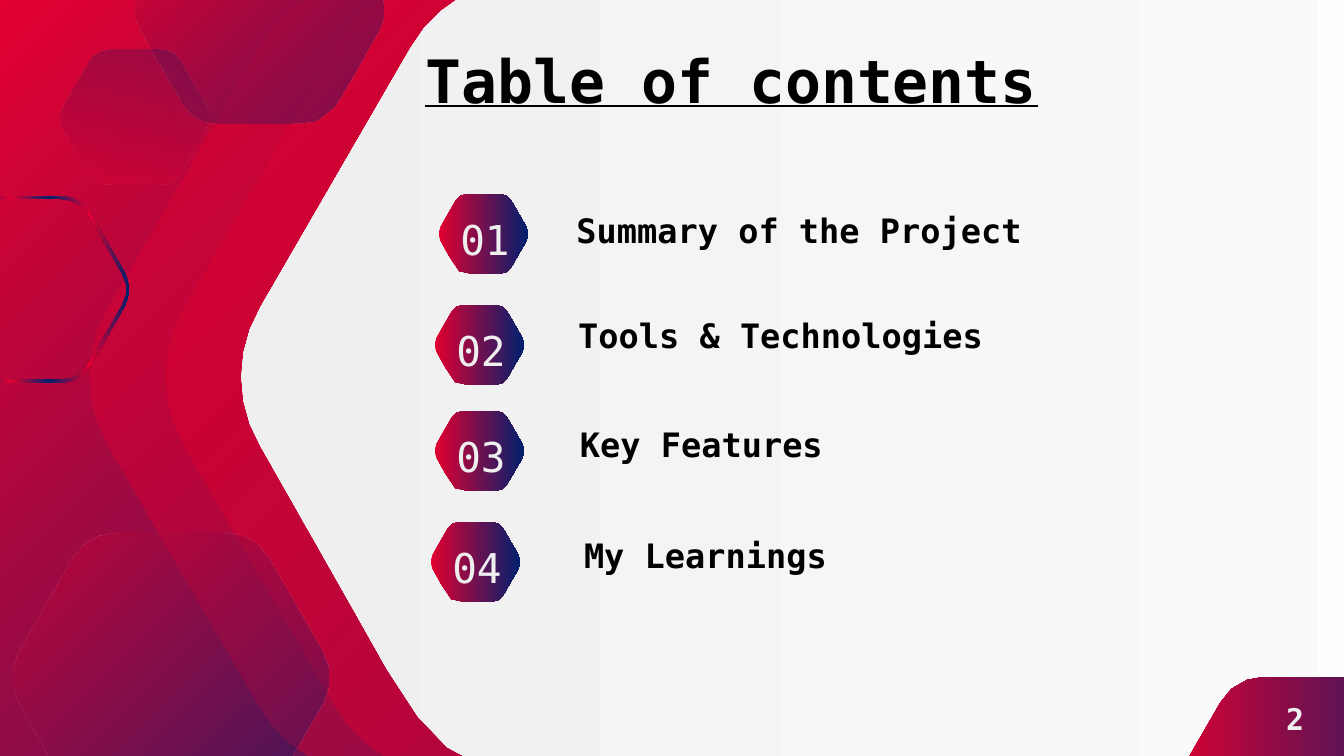
from dataclasses import dataclass

from lxml import etree
from pptx import Presentation
from pptx import util as u
from pptx.dml.color import RGBColor
from pptx.enum import text
from pptx.oxml.ns import qn

PX = u.Inches(10) / 1344
HEX_RATIO = 1.113  # width of an unstretched hexagon for a height of 1

# Rounded hexagon in a unit square: a point is a line, six numbers are a curve.
HEX_START = (0.333, 0)
HEX_STEPS = [
    (0.277, 0, 0.224, 0.034, 0.197, 0.089),
    (0.029, 0.412),
    (0, 0.466, 0, 0.534, 0.029, 0.587),
    (0.129, 0.783),
    (0.225, 0.976, 0.238, 1, 0.393, 1),
    (0.667, 1),
    (0.723, 1, 0.776, 0.966, 0.803, 0.911),
    (0.971, 0.588),
    (1, 0.534, 1, 0.466, 0.971, 0.412),
    (0.803, 0.089),
    (0.776, 0.034, 0.723, 0, 0.667, 0),
]


@dataclass(frozen=True)
class Theme:
    font: str = "DejaVu Sans Mono"
    red: str = "E20030"
    navy: str = "00216E"
    white: str = "FFFFFF"
    pale: str = "EFEFEF"
    ink: str = "000000"
    title: int = 32
    number: int = 22
    item: int = 18
    page: int = 16


T = Theme()
RED_NAVY = [(0, T.red), (100, T.navy)]
GLASS = [(0, T.red, 41), (100, T.navy, 40)]
ITEMS = [  # label, badge left and top, text left, top and width
    ("Summary of the Project", (438, 194), (551, 200, 484)),
    ("Tools & Technologies", (434, 305), (512, 305, 484)),
    ("Key Features", (434, 411), (512, 414, 324)),
    ("My Learnings", (430, 522), (539, 525, 301)),
]


def px(n):
    return u.Emu(round(n * PX))


def set_alpha(colour, percent):
    etree.SubElement(colour, qn("a:alpha"), val=str(percent * 1000))


def paint_gradient(fill, owner, stops, angle):
    """Fill with (position, colour[, opacity]) stops at a clockwise angle."""
    fill.gradient()
    grad = owner.find(".//" + qn("a:gradFill"))
    for child in list(grad):
        grad.remove(child)
    gs_list = etree.SubElement(grad, qn("a:gsLst"))
    for position, colour, *alpha in stops:
        gs = etree.SubElement(gs_list, qn("a:gs"), pos=str(position * 1000))
        clr = etree.SubElement(gs, qn("a:srgbClr"), val=colour)
        if alpha:
            set_alpha(clr, alpha[0])
    etree.SubElement(grad, qn("a:lin"), ang=str(angle * 60000), scaled="0")


def curve_steps(height):
    """Larger corners need more segments to look round."""
    return 2 if height < 100 else 3 if height < 400 else 6


def hexagon_points(left, top, width, height, flip=False):
    """Outline in EMU; extra width stretches only the flat top and bottom."""
    points = [HEX_START]
    n = curve_steps(height)
    for step in HEX_STEPS:
        if len(step) == 2:
            points.append(step)
            continue
        (x0, y0), (x1, y1, x2, y2, x3, y3) = points[-1], step
        for i in range(1, n + 1):
            t = i / n
            a, b, c, d = (1 - t) ** 3, 3 * t * (1 - t) ** 2, 3 * t * t * (1 - t), t ** 3
            points.append((a * x0 + b * x1 + c * x2 + d * x3,
                           a * y0 + b * y1 + c * y2 + d * y3))
    natural = height * HEX_RATIO
    outline = []
    for x, y in points:
        x = 1 - x if flip else x
        shift = width - natural if x > 0.5 else 0
        outline.append((px(left + x * natural + shift), px(top + y * height)))
    return outline


def add_hexagon(s, box, flip=False, border=0):
    """Add a rounded hexagon, hollow when a border width is given."""
    outline = hexagon_points(*box, flip)
    builder = s.shapes.build_freeform(*outline[0])
    builder.add_line_segments(outline[1:])
    if border:
        left, top, width, height = box
        hole = hexagon_points(left + border, top + border,
                              width - 2 * border, height - 2 * border, flip)
        builder.move_to(*hole[0])
        builder.add_line_segments(hole[1:])
    sp = builder.convert_to_shape()
    sp.shadow.inherit = False
    sp.line.fill.background()
    return sp


def add_gradient_hexagon(s, box, stops, angle, **options):
    sp = add_hexagon(s, box, **options)
    paint_gradient(sp.fill, sp._element.spPr, stops, angle)


def add_tinted_hexagon(s, box, colour, opacity):
    sp = add_hexagon(s, box, flip=True)
    sp.fill.solid()
    sp.fill.fore_color.rgb = RGBColor.from_string(colour)
    set_alpha(sp._element.spPr.find(".//" + qn("a:srgbClr")), opacity)


def write_text(s, words, box, align, size, colour, sp=None, **font):
    """Write one line into a placeholder, or a new text box, in front of the rest."""
    left, top, width, height = map(px, box)
    sp = sp or s.shapes.add_textbox(left, top, width, height)
    s.shapes._spTree.append(sp._element)
    tf = sp.text_frame
    p = tf.paragraphs[0]
    r = p.add_run()
    inset = u.Inches(0.1)
    formats = [
        (sp, dict(left=left, top=top, width=width, height=height)),
        (tf, dict(word_wrap=True, auto_size=text.MSO_AUTO_SIZE.NONE,
                  vertical_anchor=text.MSO_ANCHOR.MIDDLE, margin_left=inset,
                  margin_right=inset, margin_top=inset, margin_bottom=inset)),
        (p, dict(alignment=align, space_before=u.Pt(0))),
        (r, dict(text=words)),
        (r.font, dict(name=T.font, size=u.Pt(size), **font)),
        (r.font.color, dict(rgb=RGBColor.from_string(colour))),
    ]
    for target, values in formats:
        for name, value in values.items():
            setattr(target, name, value)


def add_backdrop(s):
    paint_gradient(s.background.fill, s._element, RED_NAVY, 45)
    for left in (83, 159):
        add_tinted_hexagon(s, (left, -22, 888, 798), T.red, 41)
    add_gradient_hexagon(s, (235, -22, 1449, 798), [(0, T.white), (100, T.pale)], 180)
    add_gradient_hexagon(s, (133, -102, 253, 226), GLASS, 45, flip=True)
    add_gradient_hexagon(s, (9, 533, 323, 289), GLASS, 45)
    add_gradient_hexagon(s, (59, 50, 151, 135), [(0, T.navy, 22), (100, T.red, 23)], 90)
    bands = [(pos, (T.navy, T.red)[i % 2]) for i, pos in enumerate((0, 19, 39, 58, 78, 100))]
    add_gradient_hexagon(s, (-77, 196, 208, 187), bands, 180, border=3)
    add_gradient_hexagon(s, (1157, 677, 323, 289), RED_NAVY, 0)


def add_item(s, number, label, badge, place, sp=None):
    x, y = badge
    left, top, width = place
    add_gradient_hexagon(s, (x, y, 91, 80), RED_NAVY, 0)
    write_text(s, f"{number:02}", (x + 8, y + 23, 78, 44), text.PP_ALIGN.CENTER,
               T.number, T.pale)
    write_text(s, label, (left, top, width, 60), text.PP_ALIGN.RIGHT,
               T.item, T.ink, sp, bold=True)


def main():
    prs = Presentation()
    prs.slide_width, prs.slide_height = px(1344), px(756)
    s = prs.slides.add_slide(prs.slide_layouts[0])
    title, subtitle = s.placeholders
    add_backdrop(s)
    write_text(s, "Table of contents", (336, 40, 715, 79), text.PP_ALIGN.RIGHT,
               T.title, T.ink, title, bold=True, underline=True)
    for number, item in enumerate(ITEMS, 1):
        add_item(s, number, *item, sp=subtitle if number == 1 else None)
    write_text(s, "2", (1246, 677, 98, 83), text.PP_ALIGN.CENTER,
               T.page, T.pale, bold=True)
    prs.save("out.pptx")


if __name__ == "__main__":
    main()
